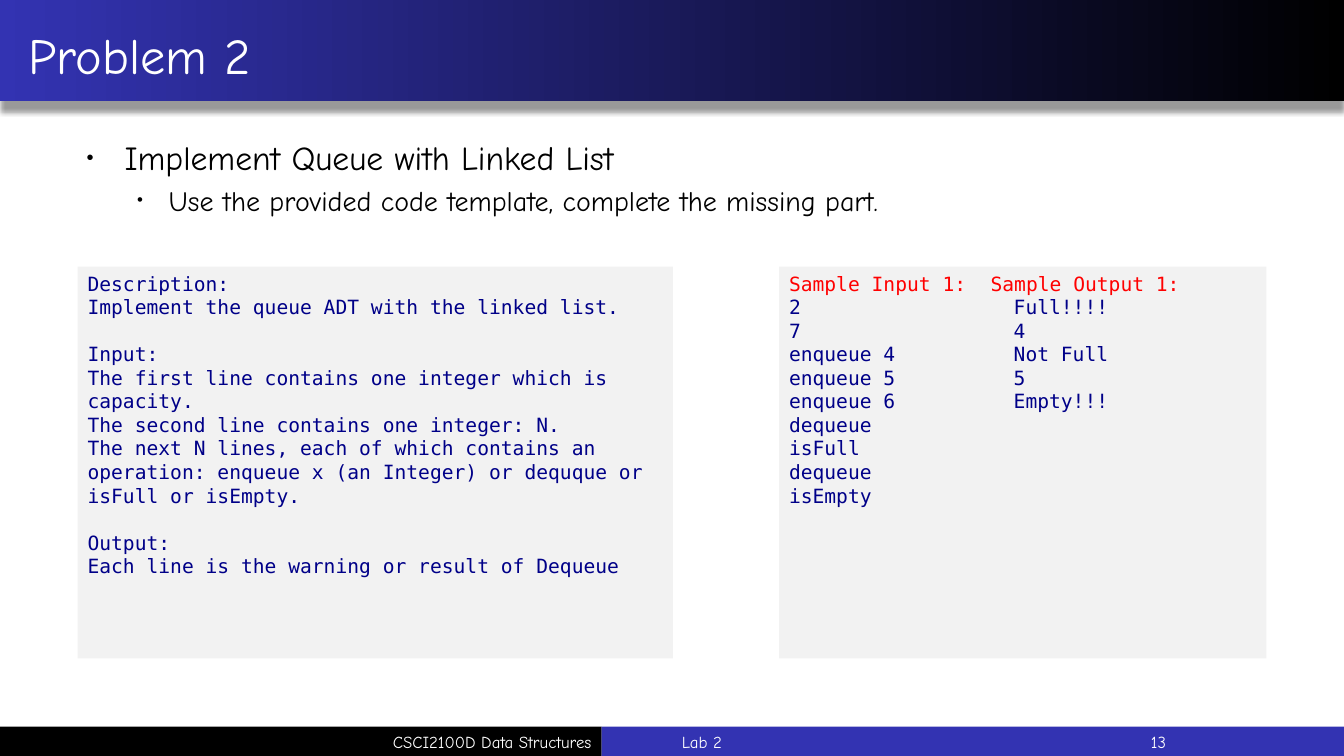
from lxml.etree import SubElement
from pptx import Presentation
from pptx.dml.color import RGBColor
from pptx.enum.shapes import MSO_SHAPE
from pptx.enum.text import MSO_ANCHOR, MSO_AUTO_SIZE, PP_ALIGN
from pptx.oxml import parse_xml
from pptx.oxml.ns import nsdecls, qn
from pptx.util import Pt

PX = 9525
THEME = {
    "blue": "3333B2", "black": "000000", "white": "FFFFFF",
    "panel": "F2F2F2", "code": "000088", "sample": "FF0000",
    "sans": "Comic Neue", "mono": "DejaVu Sans Mono",
    "title": 36, "topic": 24, "detail": 20, "listing": 14, "footer": 12,
    "code_line": 16.8,
}


def add_text(tf, text, size, color, font="sans", align=PP_ALIGN.LEFT, level=0, before=None, tab=None):
    p = tf.paragraphs[0] if not tf.text else tf.add_paragraph()
    p.alignment = align
    p.level = level
    if before is not None:
        p.space_before = Pt(before)
    if tab:
        tabs = SubElement(p._p.get_or_add_pPr(), qn("a:tabLst"))
        SubElement(tabs, qn("a:tab"), pos=str(tab * PX), algn="l")
    r = p.add_run()
    r.text = text
    r.font.size = Pt(THEME[size])
    r.font.name = THEME[font]
    r.font.color.rgb = RGBColor.from_string(THEME[color])
    return p


def add_rect(slide, box, color):
    sp = slide.shapes.add_shape(MSO_SHAPE.RECTANGLE, *[v * PX for v in box])
    sp.shadow.inherit = False
    sp.line.fill.background()
    sp.fill.solid()
    sp.fill.fore_color.rgb = RGBColor.from_string(THEME[color])
    return sp


prs = Presentation()
prs.slide_width = 1280 * PX
prs.slide_height = 720 * PX
slide = prs.slides.add_slide(prs.slide_layouts[1])
title, body = slide.placeholders

banner = add_rect(slide, (0, -1, 1280, 97), "blue")
banner.fill.gradient()
banner.fill.gradient_angle = 180
for stop, color in zip(banner.fill.gradient_stops, ("black", "blue")):
    stop.color.rgb = RGBColor.from_string(THEME[color])
banner._element.spPr.find(qn("a:effectLst")).append(parse_xml(
    f'<a:outerShdw {nsdecls("a")} blurRad="{Pt(4)}" dist="{Pt(7)}" dir="5400000" rotWithShape="0">'
    f'<a:srgbClr val="{THEME["black"]}"><a:alpha val="40000"/></a:srgbClr></a:outerShdw>'))

title.left, title.top, title.width, title.height = [v * PX for v in (0, 5, 1280, 94)]
tf = title.text_frame
tf.auto_size = MSO_AUTO_SIZE.NONE
tf.vertical_anchor = MSO_ANCHOR.MIDDLE
tf.margin_left = 27 * PX
add_text(tf, "Problem 2", "title", "white")
title._element.getparent().append(title._element)

body.left, body.top, body.width, body.height = [v * PX for v in (73, 126, 1134, 517)]
tf = body.text_frame
tf.auto_size = MSO_AUTO_SIZE.NONE
bullets = [
    ("Implement Queue with Linked List", "topic", 36, 36),
    ("Use the provided code template, complete the missing part.", "detail", 78, 30),
]
for level, (text, size, margin, hang) in enumerate(bullets):
    p = add_text(tf, text, size, "black", level=level)
    pPr = p._p.get_or_add_pPr()
    pPr.set("marL", str(margin * PX))
    pPr.set("indent", str(-hang * PX))
    SubElement(pPr, qn("a:buSzPct"), val="60000")
    SubElement(pPr, qn("a:buChar"), char="•")

black_bar = add_rect(slide, (0, 692, 573, 28), "black")
blue_bar = add_rect(slide, (573, 692, 707, 28), "blue")
lab = slide.shapes.add_textbox(640 * PX, 692 * PX, 423 * PX, 28 * PX)
number = slide.shapes.add_textbox(1000 * PX, 692 * PX, 120 * PX, 28 * PX)
footers = [
    (black_bar, "CSCI2100D Data Structures", PP_ALIGN.RIGHT),
    (lab, "Lab 2", PP_ALIGN.LEFT),
    (number, "13", PP_ALIGN.RIGHT),
]
for sp, text, align in footers:
    tf = sp.text_frame
    tf.word_wrap = True
    tf.vertical_anchor = MSO_ANCHOR.MIDDLE
    add_text(tf, text, "footer", "white", align=align)

description = add_rect(slide, (74, 254, 567, 373), "panel")
samples = add_rect(slide, (742, 254, 464, 373), "panel")
for sp in (description, samples):
    sp.text_frame.word_wrap = True
    sp.text_frame.vertical_anchor = MSO_ANCHOR.TOP

sections = [
    ("Description:", "Implement the queue ADT with the linked list."),
    ("Input:", "The first line contains one integer which is capacity.",
     "The second line contains one integer: N.",
     "The next N lines, each of which contains an operation: "
     "enqueue x (an Integer) or dequque or isFull or isEmpty."),
    ("Output:", "Each line is the warning or result of Dequeue"),
]
for i, section in enumerate(sections):
    for j, line in enumerate(section):
        gap = THEME["code_line"] if i and not j else 0
        add_text(description.text_frame, line, "listing", "code", "mono", before=gap)

tf = samples.text_frame
add_text(tf, "Sample Input 1:\tSample Output 1:", "listing", "sample", "mono", tab=192)
rows = ["2\tFull!!!!", "7\t4", "enqueue 4\tNot Full", "enqueue 5\t5", "enqueue 6\tEmpty!!!",
        "dequeue", "isFull", "dequeue", "isEmpty"]
for row in rows:
    add_text(tf, row, "listing", "code", "mono", tab=214 if "\t" in row else None)

prs.save("out.pptx")
